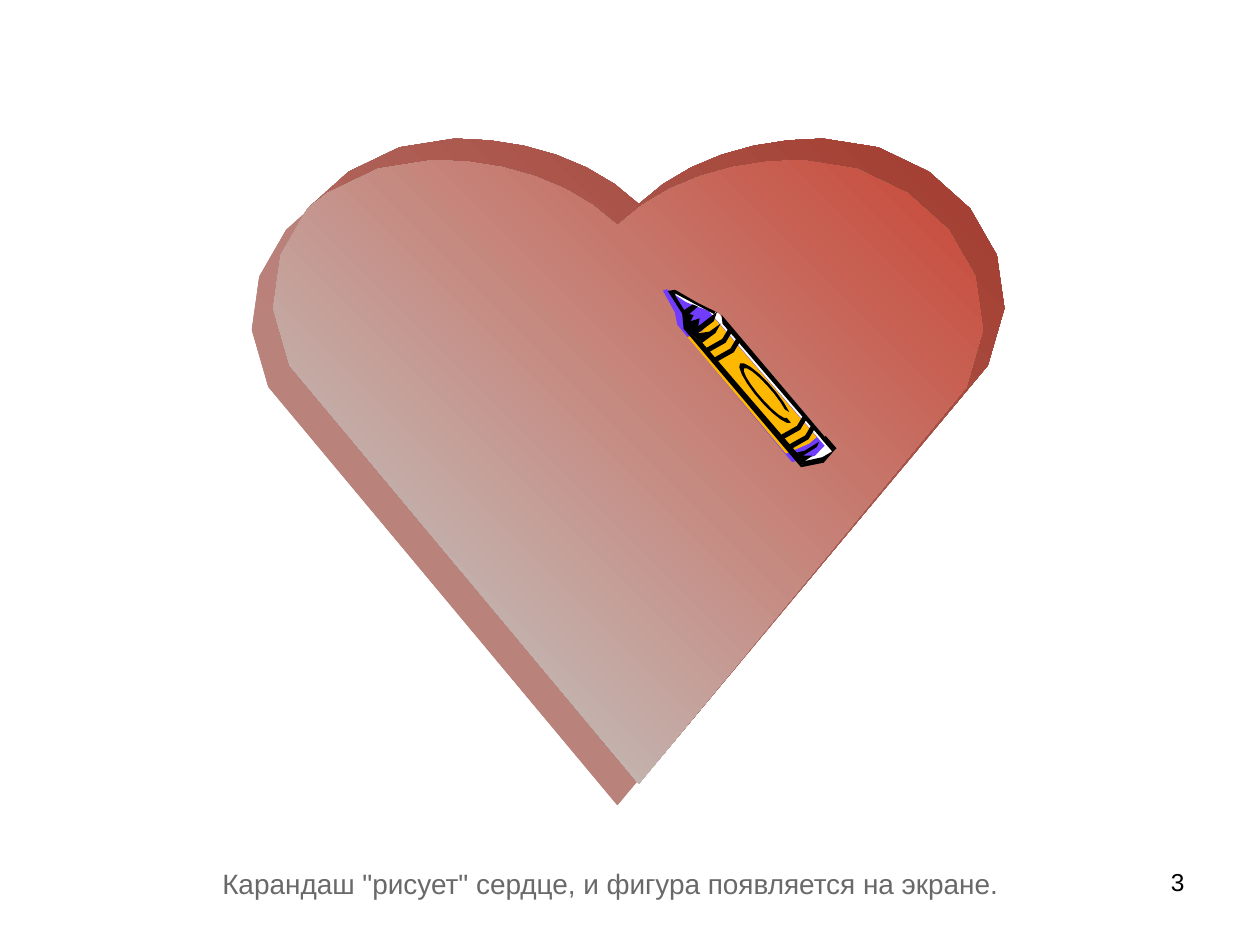
import math
from dataclasses import dataclass

from lxml import etree
from pptx import Presentation
from pptx import util as u
from pptx.dml.color import RGBColor
from pptx.enum import shapes, text
from pptx.oxml.ns import qn

Point = tuple[float, float]
BLACK, WHITE, PURPLE, YELLOW = "000000", "FFFFFF", "703DFF", "FFB800"


@dataclass
class Curve:
    start: Point
    control_1: Point
    control_2: Point
    end: Point

    def at(self, t: float) -> Point:
        weights = ((1 - t) ** 3, 3 * t * (1 - t) ** 2, 3 * t ** 2 * (1 - t), t ** 3)
        knots = (self.start, self.control_1, self.control_2, self.end)
        return (sum(w * x for w, (x, _) in zip(weights, knots)),
                sum(w * y for w, (_, y) in zip(weights, knots)))


@dataclass
class Part:
    fill: str
    points: list[Point]


HEART_AXIS, HEART_TIP, HEART_DEPTH, CURVE_STEPS = 4.9, 6.39, 0.17, 6
NOTCH_TO_TOP = Curve((0, 1.79), (0.36, 1.44), (0.9, 1.27), (1.46, 1.27))
TOP_TO_SIDE = Curve((1.46, 1.27), (2.35, 1.27), (3.25, 2.15), (2.77, 3.07))

CRAYON_TIP, CRAYON_ANGLE = (5.3, 2.31), math.radians(49.3)
BODY_BOTTOM, BODY_TOP = -0.1, 0.19
STRIPES = (0.54, 0.64, 1.45, 1.55)
STRIPE_WIDTH, STRIPE_BULGE = 0.04, 0.03


def shift(points: list[Point], dx: float, dy: float) -> list[Point]:
    return [(x + dx, y + dy) for x, y in points]


def heart_outline() -> list[Point]:
    ts = [i / CURVE_STEPS for i in range(CURVE_STEPS + 1)]
    half = [NOTCH_TO_TOP.at(t) for t in ts] + [TOP_TO_SIDE.at(t) for t in ts[1:]]
    left = [(HEART_AXIS - x, y) for x, y in half]
    right = [(HEART_AXIS + x, y) for x, y in half[:0:-1]]
    return left + [(HEART_AXIS, HEART_TIP)] + right


def face_outline(front: list[Point], back: list[Point]) -> list[Point]:
    crossing = min(range(len(front)), key=lambda i: sum(front[i]))
    after_tip = 1 + max(range(len(front)), key=lambda i: front[i][1])
    return front[:crossing] + back[crossing:after_tip] + front[after_tip:]


def on_crayon(point: Point) -> Point:
    along, across = point
    cos, sin = math.cos(CRAYON_ANGLE), math.sin(CRAYON_ANGLE)
    return (CRAYON_TIP[0] + along * cos + across * sin,
            CRAYON_TIP[1] + along * sin - across * cos)


def stripe(along: float) -> list[Point]:
    edge = [(along, 0.17), (along + STRIPE_BULGE, 0.08), (along, -0.07)]
    return edge + shift(edge[::-1], STRIPE_WIDTH, 0)


def open_ring(center: Point, outer: Point, inner: Point) -> list[Point]:
    angles = [math.radians(a) for a in range(40, 361, 20)]

    def arc(radii: Point) -> list[Point]:
        return [(center[0] + radii[0] * math.cos(a), center[1] + radii[1] * math.sin(a))
                for a in angles]

    return arc(outer) + arc(inner)[::-1]


def crayon_parts() -> list[Part]:
    silhouette = [(0.04, 0.02), (0.05, 0.05), (0.23, 0.1), (0.4, BODY_TOP), (1.81, BODY_TOP),
                  (1.82, 0.08), (1.74, -0.09), (0.32, -0.07), (0.23, -0.02)]
    wrapper = [(0.39, 0.14), (0.42, 0), (0.38, -0.12), (1.59, -0.13), (1.65, 0.06), (1.65, 0.14)]
    tip_edge = [(0.03, 0.05), (0.23, 0.12), (0.37, 0.18), (0.38, 0.16), (0.23, 0.1), (0.05, 0.03)]
    tip_shade = [(0, 0), (0.21, -0.03), (0.31, BODY_BOTTOM), (0.49, -0.06)]
    teeth = [(0.5, 0.07), (0.47, 0.15), (0.46, 0.04), (0.41, -0.04), (0.42, 0.12), (0.38, 0.19),
             (0.37, 0), (0.33, 0.05), (0.3, -0.02), (0.28, 0.03), (0.25, 0.01), (0.25, 0.1),
             (0.21, 0.08), (0.2, 0), (0.07, 0.02), (0.03, 0.05)]
    top_edge = [(0.42, 0.2), (1.71, BODY_TOP), (1.69, 0.16), (0.48, 0.16)]
    bottom_edge = [(0.31, BODY_BOTTOM), (1.75, -0.11), (1.73, -0.06), (0.49, -0.06)]
    end_cap = [(1.73, -0.06), (1.8, 0.07), (1.82, 0.18), (1.84, 0.05), (1.75, -0.11)]
    end_shade = [(1.69, 0.13), (1.67, 0), (1.63, -0.08), (1.73, -0.08), (1.74, 0.02),
                 (1.69, -0.04), (1.71, 0.09)]
    oval = open_ring((1.12, 0.06), outer=(0.31, 0.07), inner=(0.26, 0.05))

    def placed(points: list[Point]) -> list[Point]:
        return [on_crayon(point) for point in points]

    inked = [tip_edge, tip_shade + teeth, top_edge, bottom_edge, end_cap, end_shade, oval]
    inked += [stripe(along) for along in STRIPES]
    return [Part(WHITE, placed(silhouette)),
            Part(PURPLE, shift(placed(silhouette), -0.08, -0.02)),
            Part(YELLOW, placed(wrapper)),
            *(Part(BLACK, placed(points)) for points in inked)]


def color(value: str) -> RGBColor:
    return RGBColor.from_string(value)


def add_outline(parent, points: list[Point]):
    pts = [(u.Inches(x), u.Inches(y)) for x, y in points]
    fb = parent.build_freeform(*pts[0])
    fb.add_line_segments(pts[1:], close=True)
    sp = fb.convert_to_shape()
    sp.shadow.inherit = False
    sp.line.fill.background()
    return sp


def add_part(parent, part: Part) -> None:
    sp = add_outline(parent, part.points)
    sp.fill.solid()
    sp.fill.fore_color.rgb = color(part.fill)


def add_gradient(parent, points: list[Point], start: str, end: str) -> None:
    sp = add_outline(parent, points)
    sp.fill.gradient()
    sp.fill.gradient_angle = 45
    for stop, value in zip(sp.fill.gradient_stops, (start, end)):
        stop.color.rgb = color(value)


def add_line(parent, start: Point, end: Point, width: float, value: str) -> None:
    ends = [u.Inches(n) for n in (*start, *end)]
    cn = parent.add_connector(shapes.MSO_CONNECTOR.STRAIGHT, *ends)
    cn.line.width = u.Pt(width)
    cn.line.color.rgb = color(value)
    etree.SubElement(cn.element.spPr, qn("a:effectLst"))


def add_text(parent, content: str, *, left: float, width: float, size: float, fill: str,
             align: text.PP_ALIGN, top: float = 6.83, height: float = 0.52) -> None:
    box = parent.add_textbox(*(u.Inches(n) for n in (left, top, width, height)))
    tf = box.text_frame
    tf.word_wrap = True
    p = tf.paragraphs[0]
    p.alignment = align
    r = p.add_run()
    r.text = content
    r.font.name = "Arial"
    r.font.size = u.Pt(size)
    r.font.color.rgb = color(fill)


def draw_heart(parent) -> None:
    front = heart_outline()
    back = shift(front, HEART_DEPTH, -HEART_DEPTH)
    add_gradient(parent, back, "BA8880", "A33A2E")
    add_gradient(parent, front, "BA8880", "B87870")
    add_gradient(parent, face_outline(front, back), "C1DAD9", "C94636")


def draw_crayon(parent) -> None:
    crayon = parent.add_group_shape().shapes
    for part in crayon_parts():
        add_part(crayon, part)
    add_line(crayon, on_crayon((1.82, 0.18)), on_crayon((1.69, 0.18)), 3, BLACK)


def main() -> None:
    prs = Presentation()
    prs.slide_width, prs.slide_height = u.Inches(10), u.Inches(7.5)
    s = prs.slides.add_slide(prs.slide_layouts[6])
    add_text(s.shapes, 'Карандаш "рисует" сердце, и фигура появляется на экране.',
             left=0.75, width=8.19, size=16, fill="696969", align=text.PP_ALIGN.CENTER)
    add_text(s.shapes, "3", left=7.17, width=2.33, size=14, fill=BLACK,
             align=text.PP_ALIGN.RIGHT)
    draw_heart(s.shapes)
    draw_crayon(s.shapes)
    prs.save("out.pptx")


if __name__ == "__main__":
    main()
